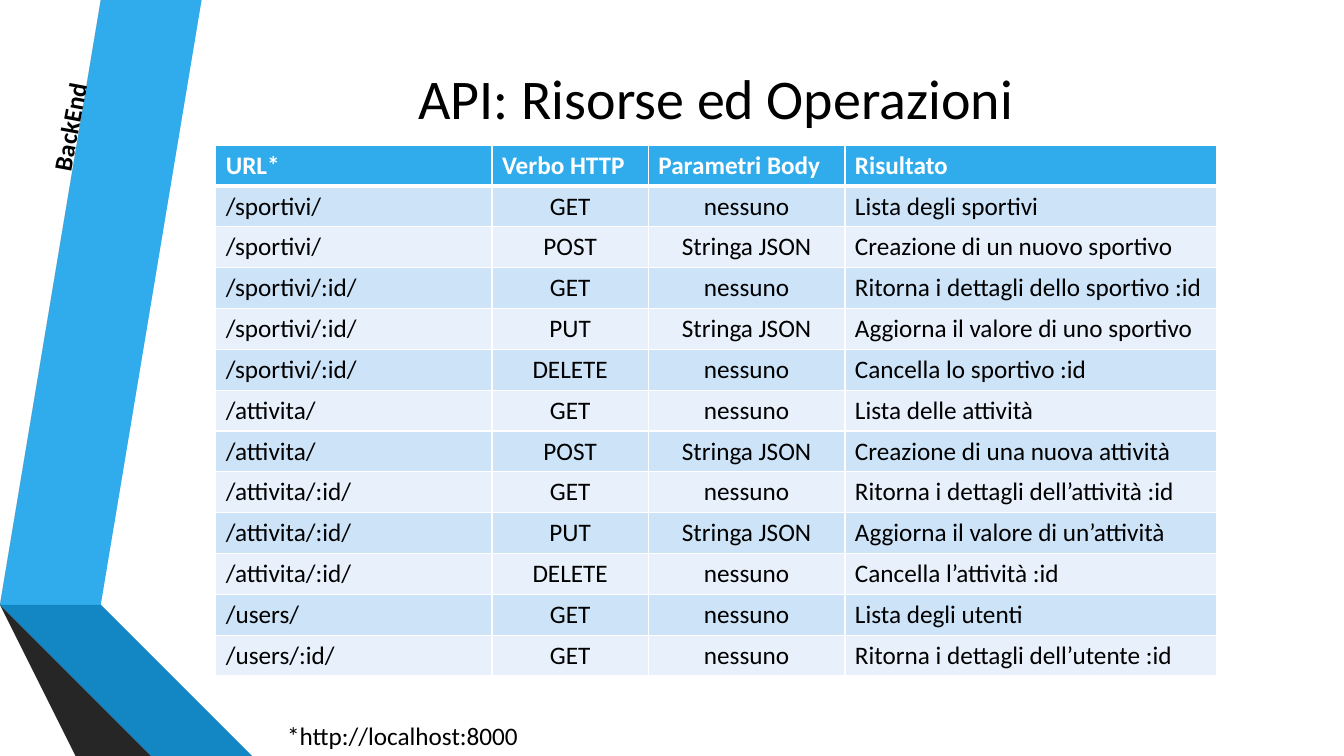
from lxml.etree import SubElement
from pptx import Presentation
from pptx.dml.color import RGBColor
from pptx.enum.text import MSO_ANCHOR, MSO_AUTO_SIZE, PP_ALIGN
from pptx.oxml.ns import qn
from pptx.util import Inches, Pt

BLACK, WHITE, BLUE = "000000", "FFFFFF", "30ACEC"
BANDS = ("CDE3F8", "E8F1FB")

RIBBONS = [
    (BLUE, [(0.5, 5.78), (0.77, 5.83), (1.73, 0), (1.45, 0)]),
    ("595959", [(1.39, 0), (1.11, 0), (0.16, 5.73), (0.44, 5.77)]),
    ("262626", [(0.16, 5.73), (1.45, 7.5), (1.51, 7.5)]),
    ("0C5A82", [(0.5, 5.79), (2.08, 7.5), (2.14, 7.5)]),
    ("1287C3", [(0.5, 5.79), (2.14, 7.5), (2.83, 7.5), (0.77, 5.83), (0.5, 5.78)]),
    ("404040", [(2.02, 7.5), (0.48, 5.83), (0.43, 5.78), (0.44, 5.77),
                (0.16, 5.73), (1.51, 7.5)]),
]

COLUMN_WIDTHS = (2.74, 1.55, 1.95, 3.69)
COLUMN_ALIGNS = (PP_ALIGN.LEFT, PP_ALIGN.CENTER, PP_ALIGN.CENTER, PP_ALIGN.LEFT)
HEADINGS = ("URL*", "Verbo HTTP", "Parametri Body", "Risultato")
OPERATIONS = [
    ("/sportivi/", "GET", "nessuno", "Lista degli sportivi"),
    ("/sportivi/", "POST", "Stringa JSON", "Creazione di un nuovo sportivo"),
    ("/sportivi/:id/", "GET", "nessuno", "Ritorna i dettagli dello sportivo :id"),
    ("/sportivi/:id/", "PUT", "Stringa JSON", "Aggiorna il valore di uno sportivo"),
    ("/sportivi/:id/", "DELETE", "nessuno", "Cancella lo sportivo :id"),
    ("/attivita/", "GET", "nessuno", "Lista delle attività"),
    ("/attivita/", "POST", "Stringa JSON", "Creazione di una nuova attività"),
    ("/attivita/:id/", "GET", "nessuno", "Ritorna i dettagli dell’attività :id"),
    ("/attivita/:id/", "PUT", "Stringa JSON", "Aggiorna il valore di un’attività"),
    ("/attivita/:id/", "DELETE", "nessuno", "Cancella l’attività :id"),
    ("/users/", "GET", "nessuno", "Lista degli utenti"),
    ("/users/:id/", "GET", "nessuno", "Ritorna i dettagli dell’utente :id"),
]


def rgb(color):
    return RGBColor.from_string(color)


class SlideBuilder:
    def __init__(self, page, font="Calibri", size=18):
        self.page = page
        self.font = font
        self.size = size

    def set_text(self, para, text, color=BLACK, size=None, bold=False, align=PP_ALIGN.LEFT):
        para.text = text
        para.alignment = align
        para.font.name = self.font
        para.font.size = Pt(size or self.size)
        para.font.bold = bold
        para.font.color.rgb = rgb(color)

    def polygon(self, points, color):
        outline = self.page.shapes.build_freeform(*points[0], scale=Inches(1))
        outline.add_line_segments(points[1:], close=True)
        shape = outline.convert_to_shape()
        shape.shadow.inherit = False
        shape.fill.solid()
        shape.fill.fore_color.rgb = rgb(color)
        shape.line.fill.background()

    def title(self, text, left, top, width, height):
        box = self.page.shapes.add_textbox(*map(Inches, (left, top, width, height)))
        box.text_frame.word_wrap = True
        box.text_frame.vertical_anchor = MSO_ANCHOR.MIDDLE
        self.set_text(box.text_frame.paragraphs[0], text, size=40, align=PP_ALIGN.CENTER)

    def label(self, text, left, top, width, height, rotation=0, bold=False):
        """Add a single-line text box that fits its text."""
        box = self.page.shapes.add_textbox(*map(Inches, (left, top, width, height)))
        box.rotation = rotation
        box.text_frame.word_wrap = False
        box.text_frame.auto_size = MSO_AUTO_SIZE.SHAPE_TO_FIT_TEXT
        self.set_text(box.text_frame.paragraphs[0], text, bold=bold)

    def cell(self, cell, text, fill, bottom=1, **style):
        """Fill one table cell, with white borders and a bottom width in points."""
        properties = cell._tc.get_or_add_tcPr()
        for side, width in (("L", 1), ("R", 1), ("T", 1), ("B", bottom)):
            border = SubElement(properties, qn(f"a:ln{side}"), w=str(Pt(width)))
            solid = SubElement(border, qn("a:solidFill"))
            SubElement(solid, qn("a:srgbClr"), val=WHITE)
        cell.fill.solid()
        cell.fill.fore_color.rgb = rgb(fill)
        self.set_text(cell.text_frame.paragraphs[0], text, **style)

    def table(self, headings, rows, left, top, height):
        frame = self.page.shapes.add_table(
            len(rows) + 1, len(headings),
            *map(Inches, (left, top, sum(COLUMN_WIDTHS), height)))
        table = frame.table
        for column, width in zip(table.columns, COLUMN_WIDTHS):
            column.width = Inches(width)
        for index, heading in enumerate(headings):
            self.cell(table.cell(0, index), heading, BLUE, bottom=3, color=WHITE, bold=True)
        for row_index, row in enumerate(rows):
            for index, text in enumerate(row):
                self.cell(table.cell(row_index + 1, index), text,
                          BANDS[row_index % 2], align=COLUMN_ALIGNS[index])


def main():
    deck = Presentation()
    deck.slide_width, deck.slide_height = Inches(13.33), Inches(7.5)
    builder = SlideBuilder(deck.slides.add_slide(deck.slide_layouts[6]))
    for color, points in RIBBONS:
        builder.polygon(points, color)
    builder.title("API: Risorse ed Operazioni", 1.62, 0, 10.96, 1.92)
    builder.table(HEADINGS, OPERATIONS, 2.14, 1.44, 5.27)
    builder.label("BackEnd", 0.12, 1.02, 1.15, 0.4, rotation=280.6, bold=True)
    builder.label("*http://localhost:8000", 2.75, 7.1, 2.52, 0.4)
    deck.save("out.pptx")


if __name__ == "__main__":
    main()
